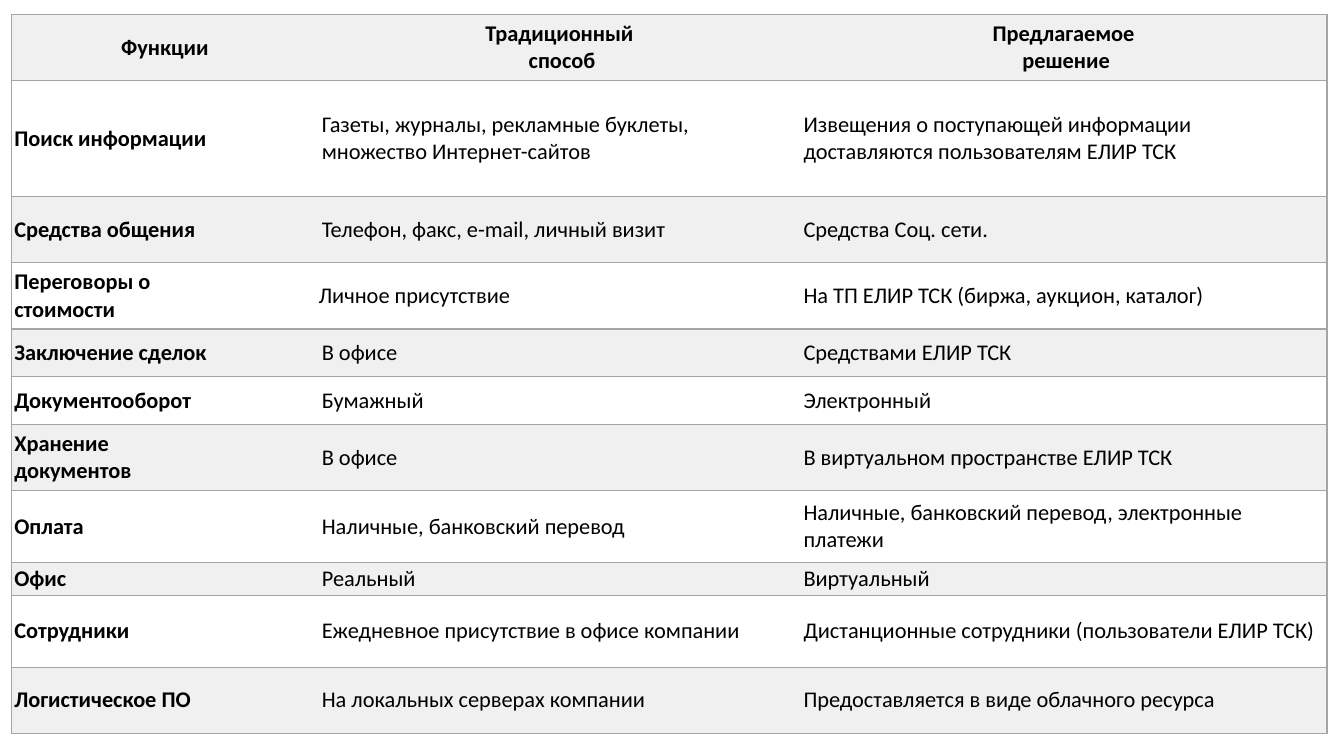
from dataclasses import dataclass

from lxml.etree import SubElement
from pptx import Presentation
from pptx.dml.color import RGBColor
from pptx.enum.text import MSO_ANCHOR, PP_ALIGN
from pptx.oxml.ns import qn
from pptx.table import _Cell
from pptx.util import Cm, Pt

BLACK = RGBColor(0x00, 0x00, 0x00)
WHITE = RGBColor(0xFF, 0xFF, 0xFF)
LIGHT_GRAY = RGBColor(0xF0, 0xF0, 0xF0)
BORDER_GRAY = RGBColor(0xA5, 0xA5, 0xA5)

COLUMN_WIDTHS = (7.75, 12.14, 13.27)
SIDE_MARGIN = 0.08


@dataclass(frozen=True)
class ComparisonRow:
    height: float
    function: str
    traditional: str
    proposed: str
    traditional_margin: float = SIDE_MARGIN


ROWS = (
    ComparisonRow(1.67, "Функции", "Традиционный\n способ", "Предлагаемое\n решение"),
    ComparisonRow(2.92, "Поиск информации",
                  "Газеты, журналы, рекламные буклеты, множество Интернет-сайтов",
                  "Извещения о поступающей информации доставляются пользователям ЕЛИР ТСК"),
    ComparisonRow(1.67, "Средства общения", "Телефон, факс, e-mail, личный визит",
                  "Средства Соц. сети."),
    ComparisonRow(1.67, "Переговоры о \nстоимости", "Личное присутствие",
                  "На ТП ЕЛИР ТСК (биржа, аукцион, каталог)", traditional_margin=0),
    ComparisonRow(1.2, "Заключение сделок", "В офисе", "Средствами ЕЛИР ТСК"),
    ComparisonRow(1.2, "Документооборот", "Бумажный", "Электронный"),
    ComparisonRow(1.67, "Хранение \nдокументов", "В офисе",
                  "В виртуальном пространстве ЕЛИР ТСК"),
    ComparisonRow(1.81, "Оплата", "Наличные, банковский перевод",
                  "Наличные, банковский перевод, электронные платежи"),
    ComparisonRow(0.83, "Офис", "Реальный", "Виртуальный"),
    ComparisonRow(1.81, "Сотрудники", "Ежедневное присутствие в офисе компании",
                  "Дистанционные сотрудники (пользователи ЕЛИР ТСК)"),
    ComparisonRow(1.67, "Логистическое ПО", "На локальных серверах компании",
                  "Предоставляется в виде облачного ресурса"),
)


def set_borders(cell: _Cell, visible_sides: str) -> None:
    """Draw the sides named in visible_sides (L, R, T, B) and clear the others."""
    properties = cell._tc.get_or_add_tcPr()
    for side in "LRTB":
        line = SubElement(properties, qn(f"a:ln{side}"), w=str(Pt(1)))
        if side in visible_sides:
            fill = SubElement(line, qn("a:solidFill"))
            SubElement(fill, qn("a:srgbClr"), val=str(BORDER_GRAY))
        else:
            SubElement(line, qn("a:noFill"))


def fill_cell(cell: _Cell, text: str, color: RGBColor, margin: float,
              bold: bool, heading: bool) -> None:
    cell.fill.solid()
    cell.fill.fore_color.rgb = color
    cell.vertical_anchor = MSO_ANCHOR.MIDDLE
    cell.margin_left = cell.margin_right = Cm(margin)
    cell.margin_top = cell.margin_bottom = 0
    para = cell.text_frame.paragraphs[0]
    para.text = text
    para.alignment = PP_ALIGN.CENTER if heading else PP_ALIGN.LEFT
    if heading:
        para.space_before = Pt(6)
    for span in para.runs:
        span.font.name = "Calibri"
        span.font.size = Pt(16)
        span.font.bold = bold
        span.font.color.rgb = BLACK


def main() -> None:
    deck = Presentation()
    deck.slide_width, deck.slide_height = Cm(33.87), Cm(19.05)
    page = deck.slides.add_slide(deck.slide_layouts[6])
    table = page.shapes.add_table(
        len(ROWS), len(COLUMN_WIDTHS), Cm(0.28), Cm(0.36),
        Cm(sum(COLUMN_WIDTHS)), Cm(sum(row.height for row in ROWS))).table
    for column, width in zip(table.columns, COLUMN_WIDTHS):
        column.width = Cm(width)

    for row_index, row in enumerate(ROWS):
        table.rows[row_index].height = Cm(row.height)
        color = WHITE if row_index % 2 else LIGHT_GRAY
        heading = row_index == 0
        texts = (row.function, row.traditional, row.proposed)
        margins = (SIDE_MARGIN, row.traditional_margin, SIDE_MARGIN)
        for column_index, sides in enumerate(("LTB", "TB", "RTB")):
            cell = table.cell(row_index, column_index)
            set_borders(cell, sides)
            fill_cell(cell, texts[column_index], color, margins[column_index],
                      bold=heading or column_index == 0, heading=heading)

    deck.save("out.pptx")


if __name__ == "__main__":
    main()
